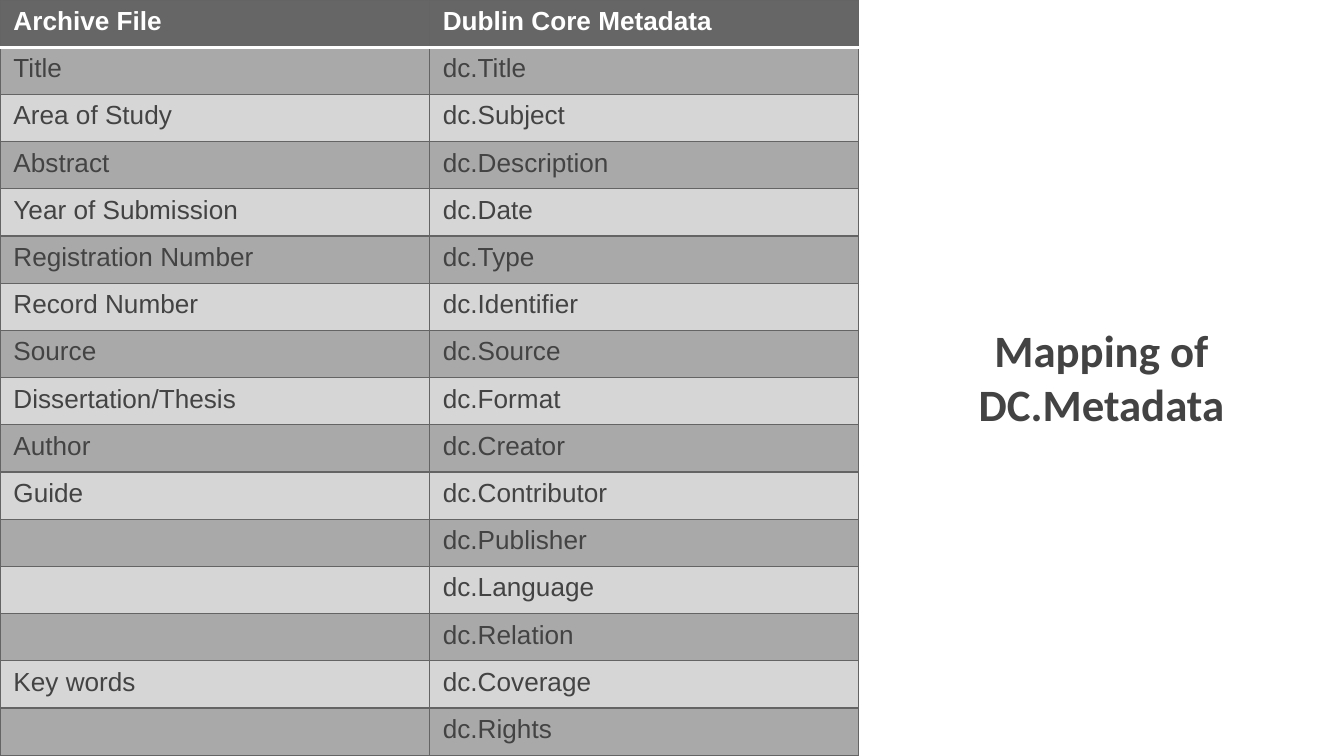
from dataclasses import dataclass
from typing import NamedTuple

from lxml import etree
from pptx import Presentation
from pptx.dml import color
from pptx.enum import text
from pptx.oxml import ns
from pptx.util import Emu, Inches, Pt


@dataclass(frozen=True)
class Theme:
    header: str = "666666"
    dark_band: str = "A9A9A9"
    light_band: str = "D6D6D6"
    grid: str = "646464"
    ink: str = "434343"
    white: str = "FFFFFF"
    table_font: str = "Arial"
    title_font: str = "Calibri"
    table_size: float = 14
    title_size: float = 24
    grid_width: float = 0.75
    rule_width: float = 2


class Mapping(NamedTuple):
    archive: str
    metadata: str


THEME = Theme()
MAPPINGS = [
    Mapping("Archive File", "Dublin Core Metadata"),
    Mapping("Title", "dc.Title"),
    Mapping("Area of Study", "dc.Subject"),
    Mapping("Abstract", "dc.Description"),
    Mapping("Year of Submission", "dc.Date"),
    Mapping("Registration Number", "dc.Type"),
    Mapping("Record Number", "dc.Identifier"),
    Mapping("Source", "dc.Source"),
    Mapping("Dissertation/Thesis", "dc.Format"),
    Mapping("Author", "dc.Creator"),
    Mapping("Guide", "dc.Contributor"),
    Mapping("", "dc.Publisher"),
    Mapping("", "dc.Language"),
    Mapping("", "dc.Relation"),
    Mapping("Key words", "dc.Coverage"),
    Mapping("", "dc.Rights"),
]


def format_runs(paragraph, font: str, size: float, ink: str, bold: bool) -> None:
    for run in paragraph.runs:
        run.font.name = font
        run.font.size = Pt(size)
        run.font.bold = bold
        run.font.color.rgb = color.RGBColor.from_string(ink)


def add_border(cell, side: str, ink: str, width: float) -> None:
    properties = cell._tc.get_or_add_tcPr()
    line = etree.SubElement(properties, ns.qn(f"a:ln{side}"), w=str(Pt(width)))
    solid = etree.SubElement(line, ns.qn("a:solidFill"))
    etree.SubElement(solid, ns.qn("a:srgbClr"), val=ink)


def fill_cell(cell, wording: str, row: int) -> None:
    is_header = row == 0
    white_side = {0: "B", 1: "T"}.get(row)
    for side in "LRTB":
        if side == white_side:
            add_border(cell, side, THEME.white, THEME.rule_width)
        else:
            add_border(cell, side, THEME.grid, THEME.grid_width)
    band = THEME.dark_band if row % 2 else THEME.light_band
    cell.fill.solid()
    cell.fill.fore_color.rgb = color.RGBColor.from_string(THEME.header if is_header else band)
    cell.text_frame.text = wording
    paragraph = cell.text_frame.paragraphs[0]
    format_runs(paragraph, THEME.table_font, THEME.table_size,
                THEME.white if is_header else THEME.ink, is_header)
    if not wording:
        etree.SubElement(paragraph._p, ns.qn("a:endParaRPr"), sz=str(int(THEME.table_size * 100)))


def add_mapping_table(slide, mappings: list[Mapping], height: int) -> None:
    width = Inches(6.39)
    table = slide.shapes.add_table(len(mappings), 2, 0, 0, width, height).table
    table.first_row = False
    table.horz_banding = False
    for column in table.columns:
        column.width = Emu(width // 2)
    for row, mapping in enumerate(mappings):
        table.rows[row].height = Emu(height // len(mappings))
        for column, wording in enumerate(mapping):
            fill_cell(table.cell(row, column), wording, row)


def add_title(slide, wording: str) -> None:
    title = slide.shapes.add_textbox(Inches(6.39), Inches(2.3), Inches(3.61), Inches(1.03))
    frame = title.text_frame
    frame.word_wrap = True
    frame.vertical_anchor = text.MSO_ANCHOR.TOP
    frame.margin_left = frame.margin_right = Inches(0.1)
    frame.margin_top = frame.margin_bottom = Inches(0.1)
    frame.text = wording
    paragraph = frame.paragraphs[0]
    paragraph.alignment = text.PP_ALIGN.CENTER
    format_runs(paragraph, THEME.title_font, THEME.title_size, THEME.ink, True)


def main() -> None:
    deck = Presentation()
    deck.slide_width = Inches(10)
    deck.slide_height = Emu(deck.slide_width * 9 // 16)
    slide = deck.slides.add_slide(deck.slide_layouts[6])
    add_title(slide, "Mapping of DC.Metadata")
    add_mapping_table(slide, MAPPINGS, deck.slide_height)
    deck.save("out.pptx")


if __name__ == "__main__":
    main()
